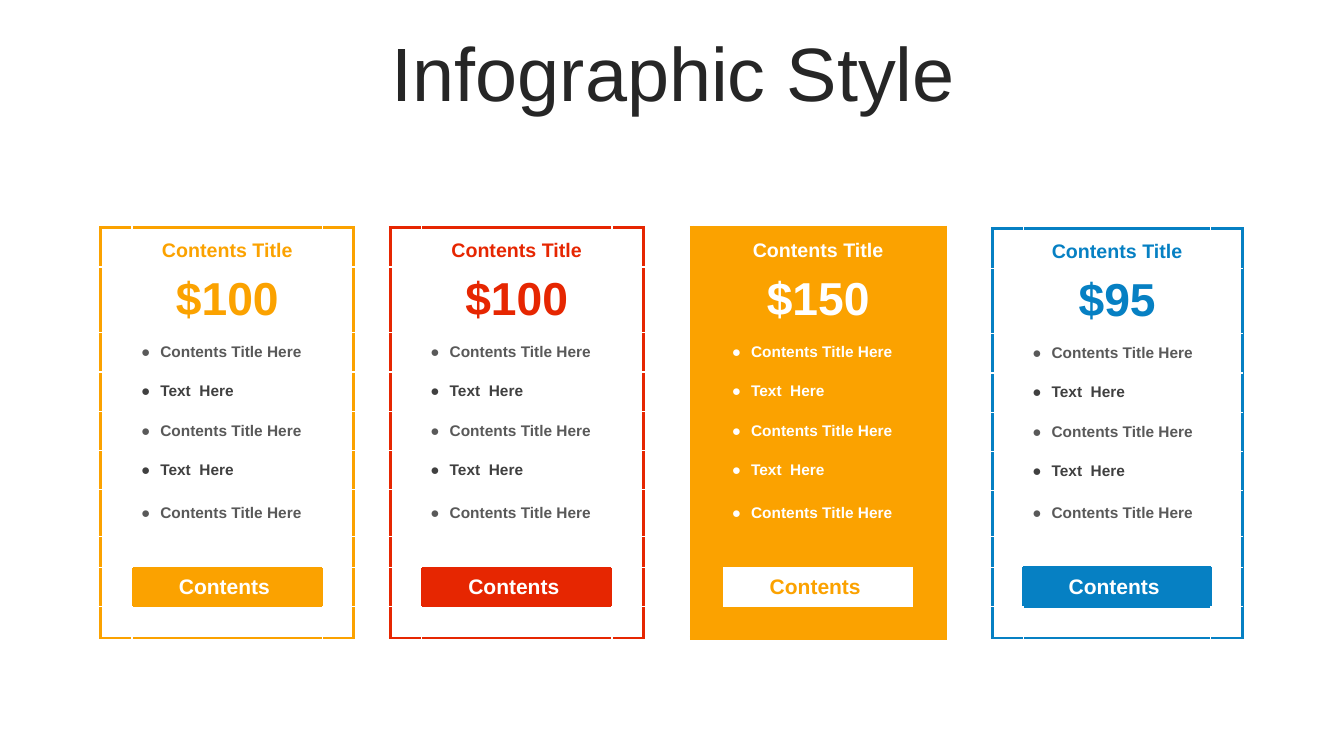
from dataclasses import dataclass
from lxml.etree import SubElement
from pptx import Presentation
from pptx.dml.color import RGBColor
from pptx.enum.text import MSO_ANCHOR, PP_ALIGN
from pptx.oxml.ns import qn
from pptx.util import Inches, Pt


@dataclass(frozen=True)
class Theme:
    font: str = "Arial"
    white: str = "FFFFFF"
    orange: str = "FBA200"
    red: str = "E62601"
    blue: str = "0680C3"
    heading: str = "262626"
    item: str = "595959"
    item_alternate: str = "404040"
    heading_size: float = 54
    name_size: float = 14
    price_size: float = 33
    item_size: float = 11
    button_size: float = 15


theme = Theme()


def add_text(paragraph, text, size, color, bold=True):
    run = paragraph.add_run()
    run.text = text
    run.font.name = theme.font
    run.font.size = Pt(size)
    run.font.bold = bold
    run.font.color.rgb = RGBColor.from_string(color)


def add_border(cell, side, color, width):
    line = SubElement(cell._tc.get_or_add_tcPr(), qn(f"a:ln{side}"), w=str(Pt(width)))
    if color:
        fill = SubElement(line, qn("a:solidFill"))
        SubElement(fill, qn("a:srgbClr"), val=color)
    else:
        SubElement(line, qn("a:noFill"))


deck = Presentation()
deck.slide_width = Inches(13.33)
deck.slide_height = Inches(7.5)
slide = deck.slides.add_slide(deck.slide_layouts[6])

heading = slide.shapes.add_textbox(Inches(0.35), Inches(0.37), Inches(12.66), Inches(0.79))
heading.text_frame.word_wrap = True
heading.text_frame.vertical_anchor = MSO_ANCHOR.MIDDLE
heading_line = heading.text_frame.paragraphs[0]
heading_line.alignment = PP_ALIGN.CENTER
heading_line.line_spacing = 0.9
heading_line.space_before = Pt(10)
add_text(heading_line, "Infographic Style", theme.heading_size, theme.heading, False)

features = ["Contents Title Here", "Text  Here"] * 2 + ["Contents Title Here"]
side_width = 0.31
button_position = (8, 1)
neighbours = {"L": (0, -1), "R": (0, 1), "T": (-1, 0), "B": (1, 0)}

plans = [
    (1, 2.26, 1.89, 0.46, "$100", theme.orange, False, None),
    (3.87, 2.26, 1.89, 0.46, "$100", theme.red, False, None),
    (6.86, 2.26, 1.89, 0.46, "$150", theme.orange, True, None),
    (9.84, 2.27, 1.86, 0.45, "$95", theme.blue, False, theme.blue),
]

for left, top, middle_width, last_item_height, price, accent, featured, button_edge in plans:
    columns = [side_width, middle_width, side_width]
    rows = [0.39, 0.65] + [0.39] * 4 + [last_item_height, 0.31, 0.39, 0.31]
    background, ink = (accent, theme.white) if featured else (theme.white, accent)
    frame_width = 3 if featured else 2.25
    grid_color = None if featured else theme.white

    card = slide.shapes.add_table(
        len(rows), len(columns), Inches(left), Inches(top), Inches(sum(columns)), Inches(sum(rows))
    ).table
    card.first_row = False
    card.horz_banding = False
    for column, width in zip(card.columns, columns):
        column.width = Inches(width)
    for row, height in zip(card.rows, rows):
        row.height = Inches(height)

    contents = {
        0: ("Contents Title", theme.name_size, ink),
        1: (price, theme.price_size, ink),
        8: ("Contents ", theme.button_size, background),
    }
    for index, feature in enumerate(features):
        shade = theme.item_alternate if index % 2 else theme.item
        contents[index + 2] = (feature, theme.item_size, ink if featured else shade)

    for r in range(len(rows)):
        for c in range(len(columns)):
            cell = card.cell(r, c)
            for side, (down, across) in neighbours.items():
                beside = (r + down, c + across)
                if not (0 <= beside[0] < len(rows) and 0 <= beside[1] < len(columns)):
                    add_border(cell, side, accent, frame_width)
                elif button_position in (beside, (r, c)):
                    add_border(cell, side, button_edge, frame_width)
                else:
                    add_border(cell, side, grid_color, 1)
            cell.fill.solid()
            cell.fill.fore_color.rgb = RGBColor.from_string(
                ink if (r, c) == button_position else background
            )
            if c != 1 or r not in contents:
                cell.margin_top = cell.margin_bottom = 0
                continue
            cell.margin_left = cell.margin_right = Inches(0.09)
            cell.margin_top = cell.margin_bottom = Inches(0.05)
            cell.vertical_anchor = MSO_ANCHOR.BOTTOM if r == 0 else MSO_ANCHOR.MIDDLE
            paragraph = cell.text_frame.paragraphs[0]
            add_text(paragraph, *contents[r])
            if 2 <= r < 2 + len(features):
                properties = paragraph._p.get_or_add_pPr()
                properties.set("marL", str(Inches(0.19)))
                properties.set("indent", str(-Inches(0.19)))
                SubElement(properties, qn("a:buFont"), typeface=theme.font)
                SubElement(properties, qn("a:buChar"), char="●")
            else:
                paragraph.alignment = PP_ALIGN.CENTER

deck.save("out.pptx")
